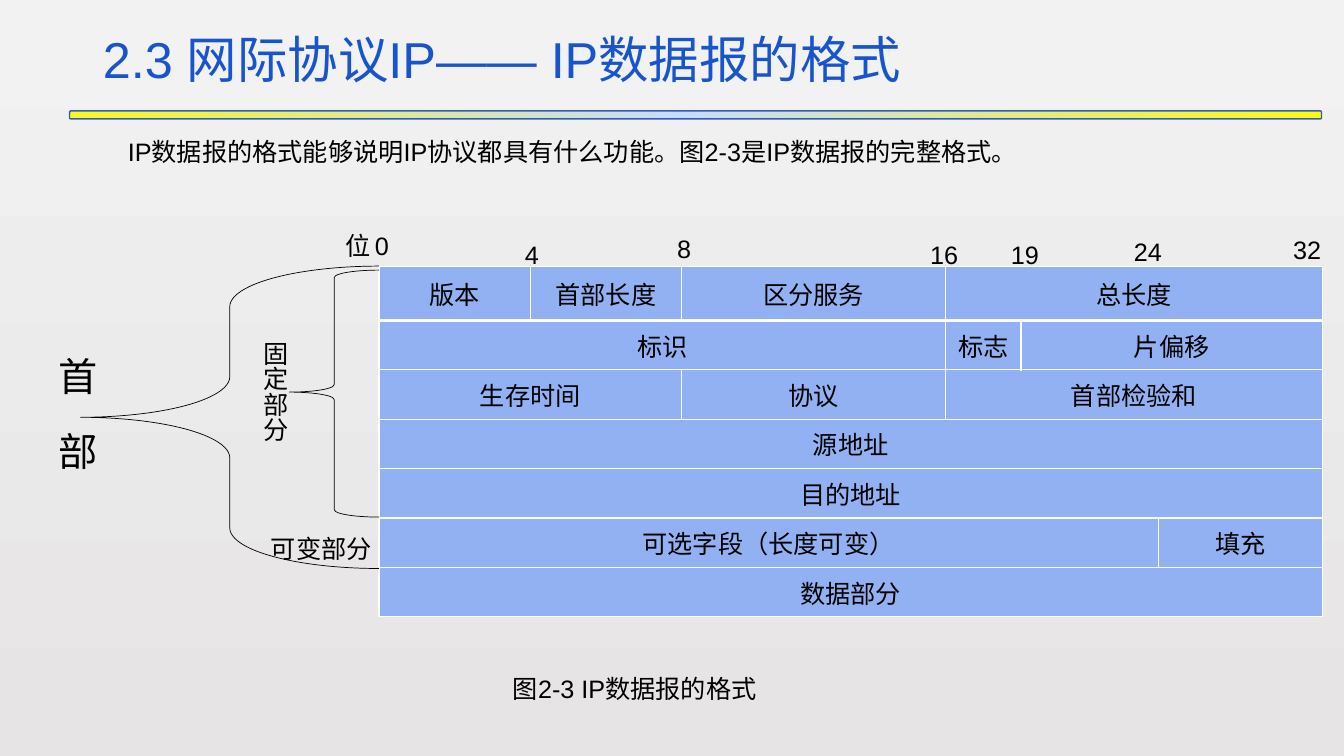
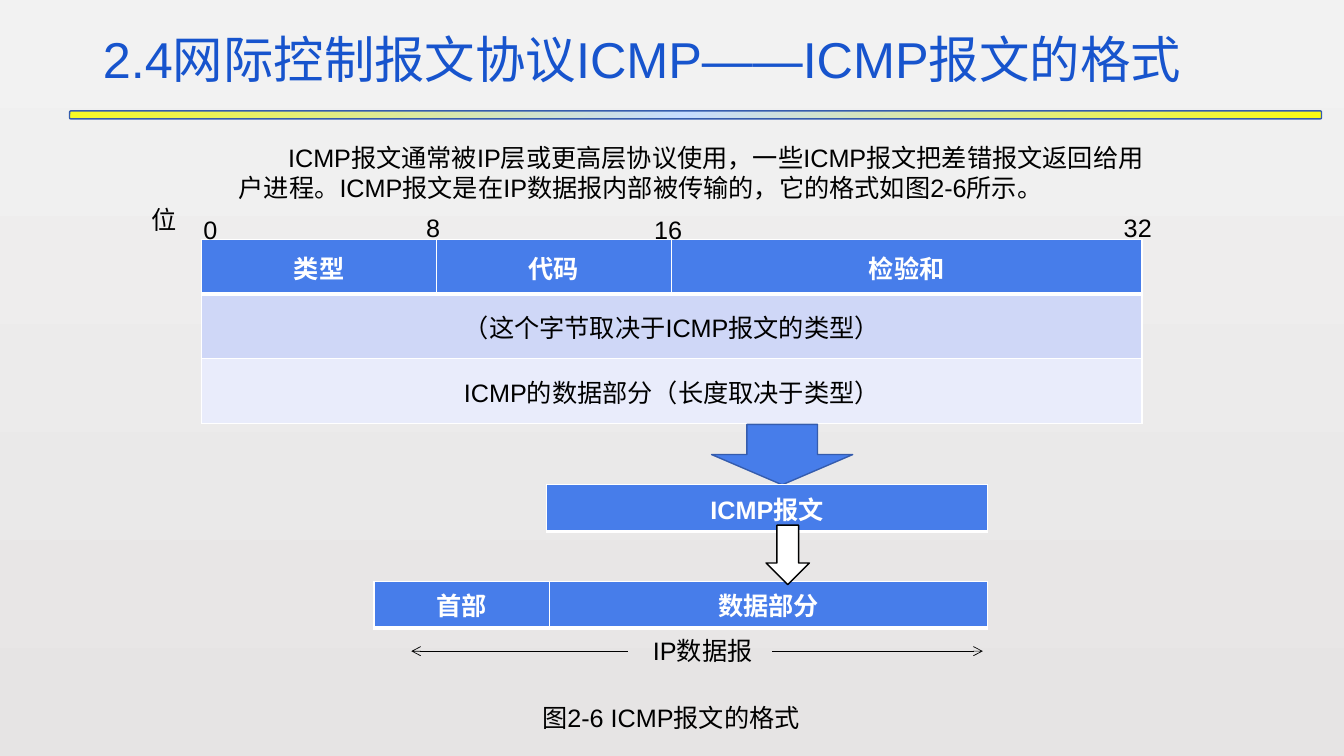
from typing import NamedTuple

from pptx import Presentation
from pptx.dml.color import RGBColor
from pptx.enum.shapes import MSO_CONNECTOR as Connector, MSO_SHAPE as Preset
from pptx.enum.text import MSO_ANCHOR as Anchor, MSO_AUTO_SIZE as AutoSize, PP_ALIGN as Align
from pptx.oxml import parse_xml
from pptx.oxml.ns import nsdecls, qn
from pptx.util import Inches, Pt

UNIT = Inches(0.1)
FONT = "Arial"
BODY_SIZE = 18
BLACK = RGBColor(0x00, 0x00, 0x00)
WHITE = RGBColor(0xFF, 0xFF, 0xFF)
TITLE_BLUE = RGBColor(0x17, 0x54, 0xCD)
EDGE_BLUE = RGBColor(0x35, 0x5C, 0xAD)
STRONG_BLUE = RGBColor(0x47, 0x7D, 0xEA)
FIELD_BLUE = RGBColor(0x91, 0xB1, 0xF2)
PALE_BLUE = RGBColor(0xCF, 0xD7, 0xF7)
FAINT_BLUE = RGBColor(0xE9, 0xEC, 0xFB)
PAGE_COLOURS = (RGBColor(0xF2, 0xF2, 0xF2), RGBColor(0xE6, 0xE4, 0xE4))
BAND_STOPS = (
    (0, RGBColor(0xFB, 0xFB, 0x11)),
    (51, RGBColor(0xC6, 0xDC, 0xFF)),
    (100, RGBColor(0xF7, 0xF9, 0x23)),
)


class Box(NamedTuple):
    """A rectangle in grid units of a tenth of an inch."""

    left: float
    top: float
    width: float
    height: float

    def area(self, left, top, width, height):
        """Return a box offset from this one's top left corner."""
        return Box(self.left + left, self.top + top, width, height)

    def lengths(self):
        """Return the four sides as slide lengths."""
        return [int(value * UNIT) for value in self]


PAGE = Box(0, 0, 133.33, 75)
TITLE = PAGE.area(9.2, 0.7, 115, 8.7)
BAND = PAGE.area(6.9, 11, 124.2, 0.8)


def style_runs(para, size=BODY_SIZE, colour=BLACK, bold=False):
    """Format every run of a paragraph."""
    for span in para.runs:
        span.font.name = FONT
        span.font.size = Pt(size)
        span.font.bold = bold
        span.font.color.rgb = colour


def add_label(page, box, text, size=BODY_SIZE, vertical=False, indent=0, tracking=0):
    """Add a plain text box."""
    frame = page.shapes.add_textbox(*box.lengths()).text_frame
    frame.word_wrap = True
    frame.auto_size = AutoSize.NONE
    frame.text = text
    para = frame.paragraphs[0]
    if vertical:
        frame._txBody.bodyPr.set("vert", "eaVert")
    if indent:
        para._p.get_or_add_pPr().set("indent", str(int(indent * UNIT)))
    style_runs(para, size)
    if tracking:
        para.runs[0]._r.get_or_add_rPr().set("spc", str(int(tracking * 100)))


def add_figure(page, preset, box, fill=None, line=BLACK, weight=1.0, adjustments=()):
    """Add a preset shape with its own fill and outline."""
    figure = page.shapes.add_shape(preset, *box.lengths())
    figure.shadow.inherit = False
    if fill is None:
        figure.fill.background()
    else:
        figure.fill.solid()
        figure.fill.fore_color.rgb = fill
    figure.line.color.rgb = line
    figure.line.width = Pt(weight)
    for index, value in enumerate(adjustments):
        figure.adjustments[index] = value
    return figure


def add_arrow(page, start, end, top):
    """Add a thin horizontal arrow."""
    points = [int(value * UNIT) for value in (start, top, end, top)]
    arrow = page.shapes.add_connector(Connector.STRAIGHT, *points)
    arrow.line.color.rgb = BLACK
    arrow.line.width = Pt(0.5)
    properties = arrow._element.spPr
    properties.find(qn("a:ln")).append(parse_xml(f'<a:tailEnd {nsdecls("a")} type="arrow"/>'))
    properties.append(parse_xml(f'<a:effectLst {nsdecls("a")}/>'))


def set_borders(cell, top, bottom):
    """Draw white cell borders, one point wide at the sides."""
    for side, weight in (("L", 1), ("R", 1), ("T", top), ("B", bottom)):
        cell._tc.get_or_add_tcPr().append(parse_xml(
            f'<a:ln{side} {nsdecls("a")} w="{int(Pt(weight))}"><a:solidFill>'
            f'<a:srgbClr val="{WHITE}"/></a:solidFill></a:ln{side}>'))


def add_grid(page, box, columns, heights, rows, fills, heading=True, anchor=Anchor.MIDDLE):
    """Add a table whose rows list cells as (text, column span)."""
    table = page.shapes.add_table(len(rows), len(columns), *box.lengths()).table
    table.first_row = heading
    table.horz_banding = False
    for column, width in zip(table.columns, columns):
        column.width = int(width * UNIT)
    for index, (cells, fill) in enumerate(zip(rows, fills)):
        table.rows[index].height = int(heights[index] * UNIT)
        strong = heading and index == 0
        position = 0
        for text, extent in cells:
            cell = table.cell(index, position)
            if extent > 1:
                cell.merge(table.cell(index, position + extent - 1))
            set_borders(cell, 3 if index == 1 else 1, 3 if index == 0 else 1)
            cell.fill.solid()
            cell.fill.fore_color.rgb = fill
            cell.vertical_anchor = anchor
            cell.text = text
            para = cell.text_frame.paragraphs[0]
            para.alignment = Align.CENTER
            style_runs(para, colour=WHITE if strong else BLACK, bold=strong)
            position += extent


def add_bit_marks(page, box, marks):
    """Place bit numbers above a table, offset from its corner."""
    for text, left, top in marks:
        add_label(page, box.area(left, top, 6, 4), text)


def add_band(page, layout):
    """Move a gradient band into the layout that the pages share."""
    band = add_figure(page, Preset.ROUNDED_RECTANGLE, BAND, WHITE, EDGE_BLUE)
    stops = "".join(f'<a:gs pos="{share * 1000}"><a:srgbClr val="{colour}"/></a:gs>'
                    for share, colour in BAND_STOPS)
    gradient = parse_xml(
        f'<a:gradFill {nsdecls("a")} rotWithShape="1"><a:gsLst>{stops}</a:gsLst>'
        '<a:path path="circle"><a:fillToRect l="100000" t="100000"/></a:path></a:gradFill>')
    properties = band._element.spPr
    properties.replace(properties.find(qn("a:solidFill")), gradient)
    layout.shapes._spTree.append(band._element)


def prepare_layout(deck):
    """Set the background and the title place, and return the layout."""
    fill = deck.slide_master.background.fill
    fill.gradient()
    fill.gradient_angle = 270
    for stop, colour in zip(fill.gradient_stops, PAGE_COLOURS):
        stop.color.rgb = colour
    layout = deck.slide_layouts[5]
    title = layout.placeholders[0]
    title.left, title.top, title.width, title.height = TITLE.lengths()
    return layout


def add_page(deck, layout, heading):
    """Add a page with its formatted title."""
    page = deck.slides.add_slide(layout)
    frame = page.shapes.title.text_frame
    frame.text = heading
    frame.auto_size = AutoSize.NONE
    frame.vertical_anchor = Anchor.BOTTOM
    para = frame.paragraphs[0]
    para.alignment = Align.LEFT
    para.line_spacing = 0.9
    style_runs(para, 36, TITLE_BLUE)
    return page


def add_datagram_table(page, box):
    """Lay out the datagram fields under their bit numbers."""
    rows = [
        [("版本", 1), ("首部长度", 1), ("区分服务", 1), ("总长度", 3)],
        [("标识", 3), ("标志", 1), ("片偏移", 2)],
        [("生存时间", 2), ("协议", 1), ("首部检验和", 3)],
        [("源地址", 6)],
        [("目的地址", 6)],
        [("可选字段（长度可变）", 5), ("填充", 1)],
        [("数据部分", 6)],
    ]
    add_grid(page, box, (15, 15, 26.2, 7.5, 13.6, 16.3), [5.4] + [4.9] * 6,
             rows, [FIELD_BLUE] * 7, heading=False)
    add_bit_marks(page, box, [
        ("位", -4.3, -4), ("0", -1.4, -4), ("4", 13.5, -3.1), ("8", 28.6, -3.7),
        ("16", 53.7, -3.1), ("19", 61.7, -3.1), ("24", 73.9, -3.4), ("32", 89.7, -3.6)])


def add_header_braces(page, box):
    """Bracket the header and its fixed part with their names."""
    add_figure(page, Preset.LEFT_BRACE, box, weight=0.5, adjustments=(0.136, 0.5))
    add_figure(page, Preset.LEFT_BRACE, box.area(20.7, 0.4, 8.9, 24.5),
               weight=0.5, adjustments=(0.083, 0.494))
    add_label(page, box.area(-4.3, 8, 6.7, 16), "首 部", 28, vertical=True, tracking=9.6)
    add_label(page, box.area(16.3, 6.5, 5, 13.7), "固定部分", vertical=True)
    add_label(page, box.area(17.9, 26, 13, 4), "可变部分")


def add_message_table(page, box):
    """Lay out the message fields under their bit numbers."""
    rows = [
        [("类型", 1), ("代码", 1), ("检验和", 1)],
        [("（这个字节取决于ICMP报文的类型）", 3)],
        [("ICMP的数据部分（长度取决于类型）", 3)],
    ]
    add_grid(page, box, (23.3, 23.3, 46.7), (5.4, 6.4, 6.4), rows,
             (STRONG_BLUE, PALE_BLUE, FAINT_BLUE))
    add_bit_marks(page, box, [("位", -5.9, -4), ("0", -0.8, -3), ("8", 21.3, -3.2),
                              ("16", 43.9, -3), ("32", 90.5, -3.2)])


def add_encapsulation(page, box):
    """Show the message carried in the data part of a datagram."""
    add_figure(page, Preset.DOWN_ARROW, box.area(33.5, 0, 14, 6), STRONG_BLUE, EDGE_BLUE)
    add_grid(page, box.area(17.1, 6, 43.8, 4.2), (43.8,), (4.2,),
             [[("ICMP报文", 1)]], [STRONG_BLUE], anchor=Anchor.TOP)
    add_grid(page, box.area(0, 15.6, 60.9, 4.2), (17.4, 43.5), (4.2,),
             [[("首部", 1), ("数据部分", 1)]], [STRONG_BLUE], anchor=Anchor.TOP)
    add_figure(page, Preset.DOWN_ARROW, box.area(38.9, 10, 4.3, 5.9), WHITE)
    for start, end in ((25.2, 3.7), (39.5, 60.4)):
        add_arrow(page, box.left + start, box.left + end, box.top + 22.5)
    add_label(page, box.area(26.7, 20.4, 14, 4), "IP数据报")


def build_datagram_page(deck, layout):
    """Build the page on the datagram format."""
    page = add_page(deck, layout, "2.3 网际协议IP—— IP数据报的格式")
    add_band(page, layout)
    add_label(page, PAGE.area(11.7, 13, 93.9, 4),
              "IP数据报的格式能够说明IP协议都具有什么功能。图2-3是IP数据报的完整格式。")
    add_datagram_table(page, PAGE.area(37.6, 26.4, 93.6, 34.8))
    add_header_braces(page, PAGE.area(8, 26.4, 29.6, 30))
    add_label(page, PAGE.area(49.9, 66.3, 35.4, 4), "图2-3 IP数据报的格式")


def build_message_page(deck, layout):
    """Build the page on the control message format."""
    page = add_page(deck, layout, "2.4网际控制报文协议ICMP——ICMP报文的格式")
    add_label(page, PAGE.area(22.7, 13.6, 92.6, 7.1),
              "ICMP报文通常被IP层或更高层协议使用，一些ICMP报文把差错报文返回给用户进程。"
              "ICMP报文是在IP数据报内部被传输的，它的格式如图2-6所示。", indent=4.9)
    add_message_table(page, PAGE.area(20, 23.8, 93.3, 18.2))
    add_encapsulation(page, PAGE.area(37.1, 42.1, 60.9, 24.4))
    add_label(page, PAGE.area(52.8, 69.2, 29.6, 4), "图2-6 ICMP报文的格式")


def main():
    """Build and save the deck."""
    deck = Presentation()
    deck.slide_width, deck.slide_height = PAGE.lengths()[2:]
    layout = prepare_layout(deck)
    build_datagram_page(deck, layout)
    build_message_page(deck, layout)
    deck.save("out.pptx")


if __name__ == "__main__":
    main()
